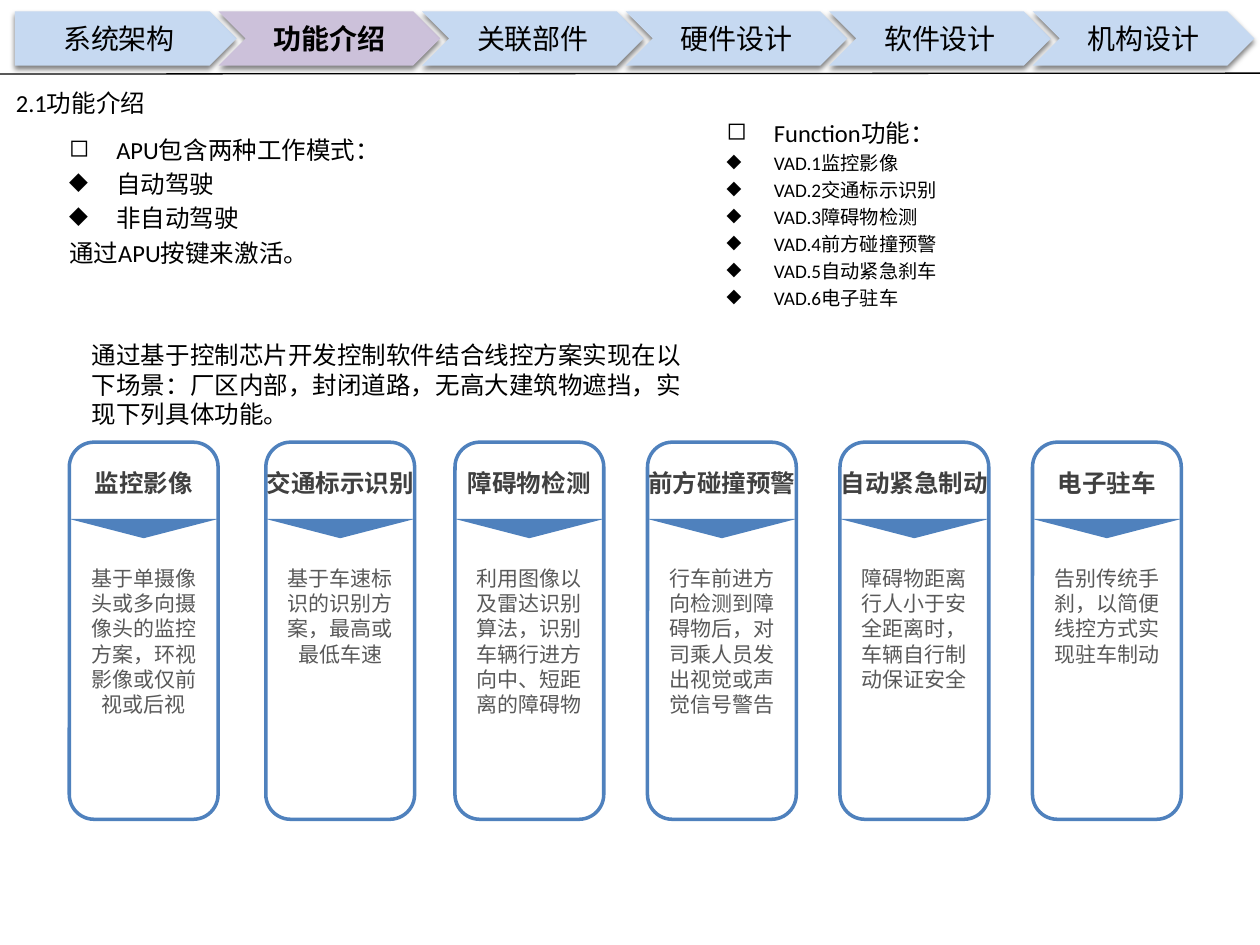
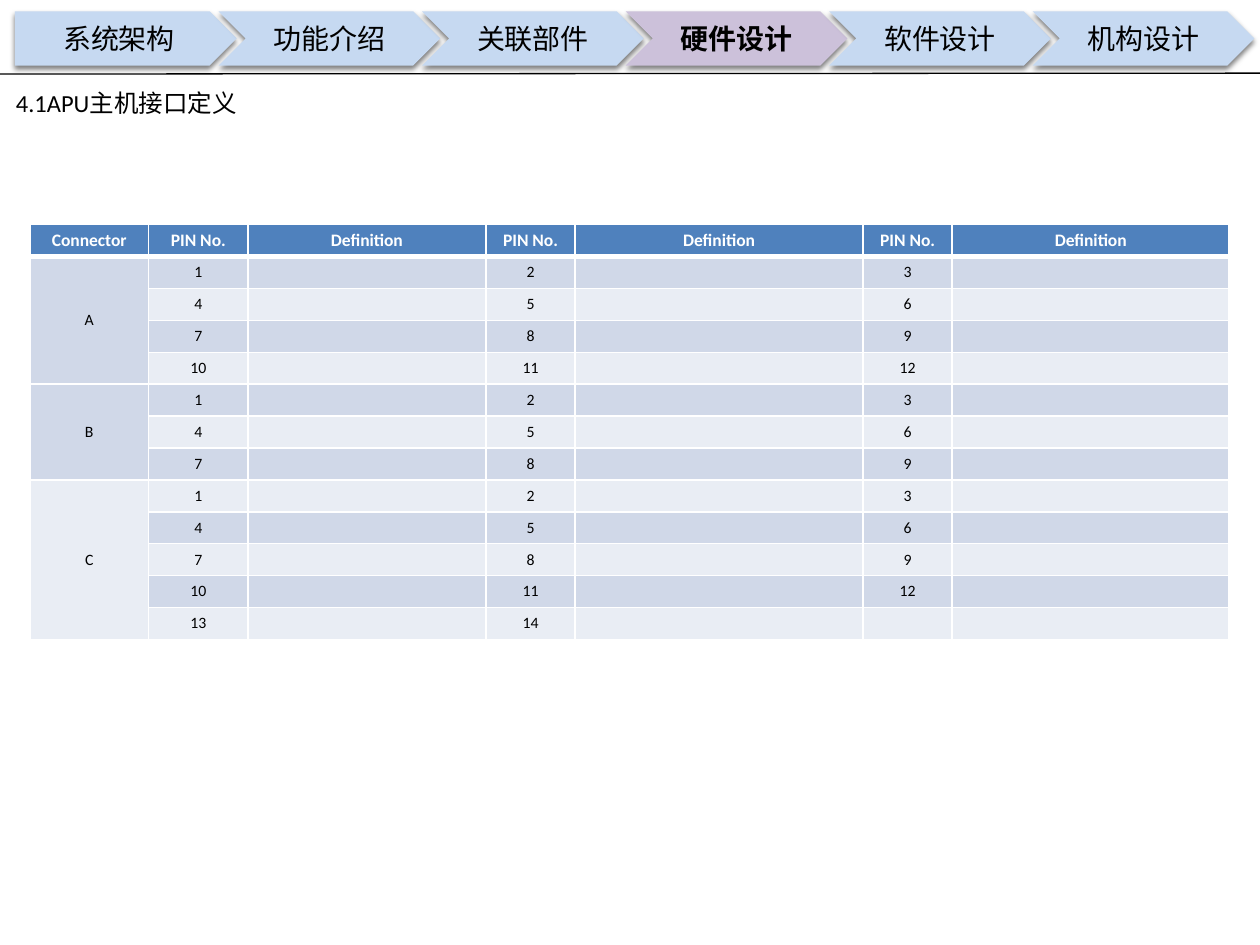
from lxml import etree
from pptx import Presentation
from pptx.dml.color import RGBColor
from pptx.enum.shapes import MSO_CONNECTOR, MSO_SHAPE
from pptx.enum.text import MSO_ANCHOR, PP_ALIGN
from pptx.oxml.ns import qn
from pptx.util import Pt

BLACK = RGBColor(0x00, 0x00, 0x00)
WHITE = RGBColor(0xFF, 0xFF, 0xFF)
BLUE = RGBColor(0x4F, 0x81, 0xBD)
PALE = RGBColor(0xC6, 0xD9, 0xF1)
LILAC = RGBColor(0xCC, 0xC1, 0xDA)
DARK = RGBColor(0x40, 0x40, 0x40)
GREY = RGBColor(0x59, 0x59, 0x59)
BANDS = (RGBColor(0xD0, 0xD8, 0xE8), RGBColor(0xE9, 0xED, 0xF4))

LATIN, HAN = "Calibri", "Noto Sans CJK SC"
LEFT, CENTER = PP_ALIGN.LEFT, PP_ALIGN.CENTER
MIDDLE = MSO_ANCHOR.MIDDLE
PLATE, ARROW = MSO_SHAPE.PENTAGON, MSO_SHAPE.CHEVRON
ROUND, WEDGE = MSO_SHAPE.ROUNDED_RECTANGLE, MSO_SHAPE.FLOWCHART_MERGE
LINE = MSO_CONNECTOR.STRAIGHT

STEPS = ["系统架构", "功能介绍", "关联部件", "硬件设计", "软件设计", "机构设计"]

# Each line: bullet, text, size
MODES = [
    ("◻", "APU包含两种工作模式：", 14),
    ("◆", "自动驾驶", 14),
    ("◆", "非自动驾驶", 14),
    ("", "通过APU按键来激活。", 14),
]
FUNCS = [
    ("◻", "Function功能：", 14),
    ("◆", "VAD.1监控影像", 11),
    ("◆", "VAD.2交通标示识别", 11),
    ("◆", "VAD.3障碍物检测", 11),
    ("◆", "VAD.4前方碰撞预警", 11),
    ("◆", "VAD.5自动紧急刹车", 11),
    ("◆", "VAD.6电子驻车", 11),
]
SCENE = ("通过基于控制芯片开发控制软件结合线控方案实现在以下场景："
         "厂区内部，封闭道路，无高大建筑物遮挡，实现下列具体功能。")

# Each card: left edge, title, body
CARDS = [
    (39.6, "监控影像", "基于单摄像头或多向摄像头的监控方案，环视影像或仅前视或后视"),
    (151.9, "交通标示识别", "基于车速标识的识别方案，最高或最低车速"),
    (260, "障碍物检测", "利用图像以及雷达识别算法，识别车辆行进方向中、短距离的障碍物"),
    (370, "前方碰撞预警", "行车前进方向检测到障碍物后，对司乘人员发出视觉或声觉信号警告"),
    (480, "自动紧急制动", "障碍物距离行人小于安全距离时，车辆自行制动保证安全"),
    (590, "电子驻车", "告别传统手刹，以简便线控方式实现驻车制动"),
]
CARD_W = 85

HEADS = ["Connector"] + ["PIN No.", "Definition"] * 3
COLS = [68, 56.7, 136, 51, 164.5, 51, 158.3]
PLUGS = [("A", 12), ("B", 9), ("C", 14)]  # connector, pin count
ROW_H = 18.25


def write(para, text, size, color=BLACK, bold=False, face=HAN):
    run = para.add_run()
    run.text = text
    font = run.font
    font.size, font.bold, font.name = Pt(size), bold, face
    font.color.rgb = color
    etree.SubElement(run.font._element, qn("a:ea"), typeface=HAN)


def add_box(slide, x, y, w, h):
    frame = slide.shapes.add_textbox(Pt(x), Pt(y), Pt(w), Pt(h)).text_frame
    frame.word_wrap = True
    return frame


def label(slide, place, text, size, color=BLACK, bold=False, align=LEFT, face=HAN):
    para = add_box(slide, *place).paragraphs[0]
    para.alignment = align
    write(para, text, size, color, bold, face)


def add_form(slide, kind, x, y, w, h, fill=None, edge=None):
    form = slide.shapes.add_shape(kind, Pt(x), Pt(y), Pt(w), Pt(h))
    form.shadow.inherit = False
    if fill is None:
        form.fill.background()
    else:
        form.fill.solid()
        form.fill.fore_color.rgb = fill
    if edge is None:
        form.line.fill.background()
    else:
        form.line.color.rgb = edge
        form.line.width = Pt(2)
    return form


def cast(form):
    """Give the shape a soft shadow straight below it."""
    effects = form._element.spPr.find(qn("a:effectLst"))
    outer = etree.SubElement(effects, qn("a:outerShdw"), blurRad=str(Pt(3)),
                             dist=str(Pt(2)), dir="5400000", rotWithShape="0")
    tint = etree.SubElement(outer, qn("a:srgbClr"), val="000000")
    etree.SubElement(tint, qn("a:alpha"), val="50000")


def add_page(deck, active, title):
    """Add a slide with the step band, its rule and the title."""
    slide = deck.slides.add_slide(deck.slide_layouts[6])
    for i, step in enumerate(STEPS):
        now = step == active
        form = add_form(slide, ARROW if i else PLATE, 8.6 + 116.3 * i, 6.5,
                        126.7, 31, LILAC if now else PALE)
        cast(form)
        frame = form.text_frame
        frame.margin_left = frame.margin_right = Pt(2)
        frame.margin_top = frame.margin_bottom = Pt(2)
        frame.vertical_anchor = MIDDLE
        frame.paragraphs[0].alignment = CENTER
        write(frame.paragraphs[0], step, 16, bold=now)
    rule = slide.shapes.add_connector(LINE, 0, Pt(42.3), Pt(720), Pt(41.8))
    rule.line.color.rgb = BLACK
    rule.line.width = Pt(0.75)
    etree.SubElement(rule._element.spPr, qn("a:effectLst"))
    label(slide, (2, 46.8, 205, 25), title, 14, face=LATIN)
    return slide


def add_list(slide, place, lines):
    frame = add_box(slide, *place)
    for i, (mark, text, size) in enumerate(lines):
        para = frame.add_paragraph() if i else frame.paragraphs[0]
        if i:
            para.space_before = Pt(size * 0.2)
        if mark:
            props = para._p.get_or_add_pPr()
            props.set("marL", str(Pt(27)))
            props.set("indent", str(-Pt(27)))
            etree.SubElement(props, qn("a:buChar"), char=mark)
        write(para, text, size, face=LATIN)


def add_card(slide, x, title, body):
    add_form(slide, WEDGE, x, 296.6, CARD_W, 11, BLUE)
    add_form(slide, ROUND, x, 252.7, CARD_W, 215.5, edge=BLUE)
    label(slide, (x - 18, 264.2, CARD_W + 36, 24.5), title, 14, DARK, True, CENTER)
    label(slide, (x, 319.7, CARD_W, 94), body, 12, GREY, align=CENTER)


def edge_cell(cell, base):
    """Draw white cell borders, the lower one of the given width."""
    props = cell._tc.get_or_add_tcPr()
    for i, (side, width) in enumerate(zip("LRTB", (1, 1, 1, base))):
        line = etree.Element(qn("a:ln" + side), w=str(Pt(width)))
        fill = etree.SubElement(line, qn("a:solidFill"))
        etree.SubElement(fill, qn("a:srgbClr"), val=str(WHITE))
        props.insert(i, line)


def fill_cell(cell, text, fill, head=False):
    cell.fill.solid()
    cell.fill.fore_color.rgb = fill
    cell.margin_top = cell.margin_bottom = Pt(2)
    cell.vertical_anchor = MIDDLE
    para = cell.text_frame.paragraphs[0]
    para.alignment = CENTER
    para.font.size = Pt(9)
    if text:
        write(para, text, 10 if head else 9, WHITE if head else BLACK, head, LATIN)
    else:
        etree.SubElement(para._p, qn("a:endParaRPr"), sz="900")
    edge_cell(cell, 3 if head else 1)


def add_pins(slide):
    rows, spans = [], []
    for name, count in PLUGS:
        start = len(rows) + 1
        for first in range(1, count + 1, 3):
            row = [name if first == 1 else ""]
            for pin in range(first, first + 3):
                row += [str(pin) if pin <= count else "", ""]
            rows.append(row)
        spans.append((start, len(rows)))
    total = len(rows) + 1
    grid = slide.shapes.add_table(total, len(COLS), Pt(17), Pt(128.4),
                                  Pt(sum(COLS)), Pt(ROW_H * total)).table
    for col, width in zip(grid.columns, COLS):
        col.width = Pt(width)
    for row in grid.rows:
        row.height = Pt(ROW_H)
    for c, text in enumerate(HEADS):
        fill_cell(grid.cell(0, c), text, BLUE, True)
    for r, row in enumerate(rows, 1):
        for c, text in enumerate(row):
            fill_cell(grid.cell(r, c), text, BANDS[(r - 1) % 2])
    for top, end in spans:
        grid.cell(top, 0).merge(grid.cell(end, 0))


def main():
    deck = Presentation()
    deck.slide_width, deck.slide_height = Pt(720), Pt(540)

    intro = add_page(deck, "功能介绍", "2.1功能介绍")
    add_list(intro, (32.4, 73.4, 197, 104.4), MODES)
    add_list(intro, (408.2, 64, 238, 114), FUNCS)
    label(intro, (45.4, 190.8, 351.4, 58.3), SCENE, 14)
    for card in CARDS:
        add_card(intro, *card)

    pins = add_page(deck, "硬件设计", "4.1APU主机接口定义")
    add_pins(pins)
    deck.save("out.pptx")


if __name__ == "__main__":
    main()
